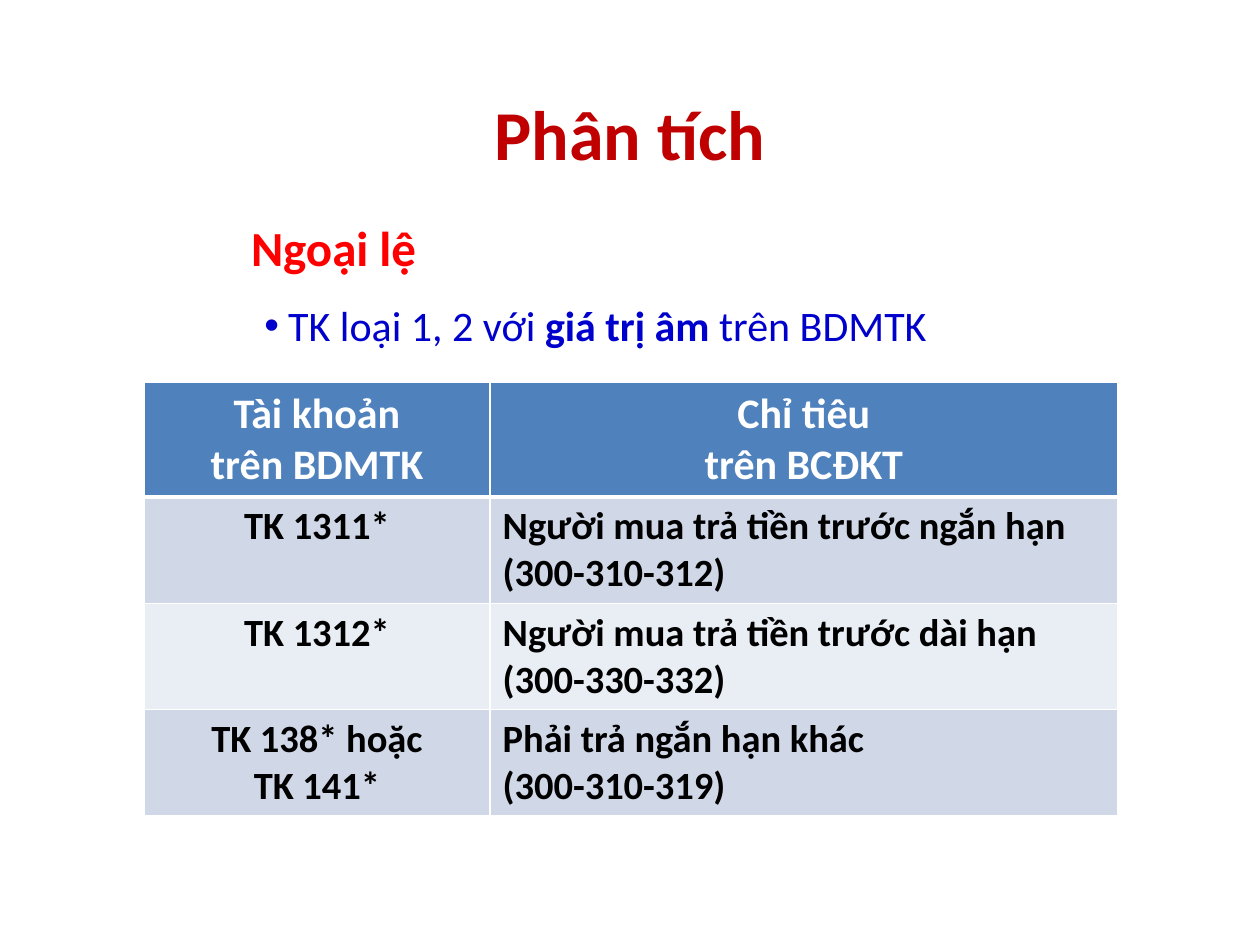
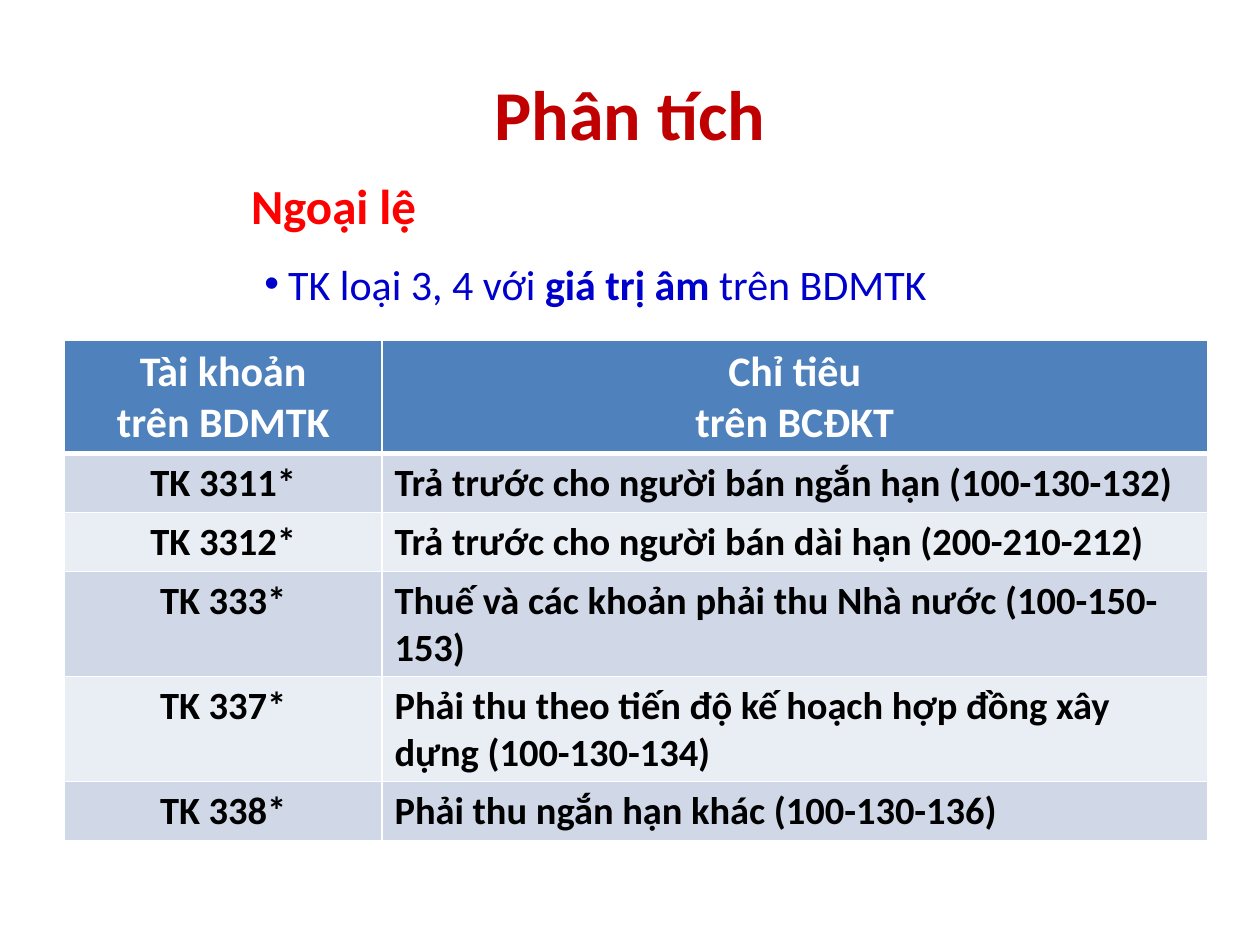
from dataclasses import dataclass

from lxml.etree import SubElement
from pptx import Presentation
from pptx.dml.color import RGBColor
from pptx.enum.shapes import MSO_SHAPE as SHAPE
from pptx.enum.text import MSO_ANCHOR as ANCHOR, MSO_AUTO_SIZE as AUTO, PP_ALIGN as ALIGN
from pptx.oxml.ns import qn
from pptx.util import Cm, Pt


@dataclass(frozen=True)
class Theme:
    font: str = "Calibri"
    title: str = "C00000"
    heading: str = "FF0000"
    note: str = "0000CC"
    header_fill: str = "4F81BD"
    band_fills: tuple = ("D0D8E8", "E9EDF4")
    white: str = "FFFFFF"
    black: str = "000000"
    title_size: int = 40
    heading_size: int = 28
    note_size: int = 24
    header_size: int = 24
    body_size: int = 22
    rule: float = 1
    header_rule: float = 3


THEME = Theme()
TITLE = "Phân tích"
HEADING = "Ngoại lệ"
HEADER = ("Tài khoản\ntrên BDMTK", "Chỉ tiêu\ntrên BCĐKT")
ROW_HEIGHT = 1.05

SLIDES = [
    {
        "title_top": 1.52, "heading_top": 4.34, "note_top": 5.92,
        "accounts": "1, 2",
        "table_box": (2.9, 7.7, 19.63, 8.64), "first_col": 6.98,
        "rows": [
            ("TK 1311*", "Người mua trả tiền trước ngắn hạn (300-310-312)"),
            ("TK 1312*", "Người mua trả tiền trước dài hạn (300-330-332)"),
            ("TK 138* hoặc\nTK 141*", "Phải trả ngắn hạn khác\n(300-310-319)"),
        ],
    },
    {
        "title_top": 1.12, "heading_top": 3.5, "note_top": 5.08,
        "accounts": "3, 4",
        "table_box": (1.3, 6.86, 23.04, 10.08), "first_col": 6.4,
        "rows": [
            ("TK 3311*", "Trả trước cho người bán ngắn hạn (100-130-132)"),
            ("TK 3312*", "Trả trước cho người bán dài hạn (200-210-212)"),
            ("TK 333*", "Thuế và các khoản phải thu Nhà nước (100-150-153)"),
            ("TK 337*", "Phải thu theo tiến độ kế hoạch hợp đồng xây dựng (100-130-134)"),
            ("TK 338*", "Phải thu ngắn hạn khác (100-130-136)"),
        ],
    },
]


def set_attrs(obj, **values):
    for name, value in values.items():
        setattr(obj, name, value)


def style_font(font, size, color, bold=True):
    set_attrs(font, name=THEME.font, size=Pt(size), bold=bold)
    font.color.rgb = RGBColor.from_string(color)


def add_title(slide, box):
    tf = slide.shapes.add_textbox(*map(Cm, box)).text_frame
    margins = {f"margin_{side}": Cm(0.1) for side in ("left", "top", "right", "bottom")}
    set_attrs(tf, word_wrap=True, vertical_anchor=ANCHOR.MIDDLE, **margins)
    p = tf.paragraphs[0]
    set_attrs(p, text=TITLE, alignment=ALIGN.CENTER, line_spacing=0.9)
    style_font(p.runs[0].font, THEME.title_size, THEME.title)


def add_heading(slide, box):
    sp = slide.shapes.add_shape(SHAPE.ROUNDED_RECTANGLE, *map(Cm, box))
    sp.shadow.inherit = False
    sp.fill.background()
    sp.line.fill.background()
    set_attrs(sp.text_frame, word_wrap=True, vertical_anchor=ANCHOR.MIDDLE)
    p = sp.text_frame.paragraphs[0]
    set_attrs(p, text=HEADING, alignment=ALIGN.LEFT)
    style_font(p.runs[0].font, THEME.heading_size, THEME.heading)


def add_note(slide, box, accounts):
    tf = slide.shapes.add_textbox(*map(Cm, box)).text_frame
    set_attrs(tf, word_wrap=True, auto_size=AUTO.SHAPE_TO_FIT_TEXT)
    p = tf.paragraphs[0]
    p.alignment = ALIGN.JUSTIFY
    pPr = p._p.get_or_add_pPr()
    hang = Cm(0.48)
    pPr.set("marL", str(hang))
    pPr.set("indent", str(-hang))
    SubElement(pPr, qn("a:buFont"), typeface="Arial")
    SubElement(pPr, qn("a:buChar"), char="•")
    parts = ((f"TK loại {accounts} với ", False), ("giá trị âm ", True), ("trên BDMTK", False))
    for text, bold in parts:
        r = p.add_run()
        r.text = text
        style_font(r.font, THEME.note_size, THEME.note, bold)


def add_borders(cell, top, bottom):
    """Draw white rules; call before the cell is filled, since lines come first in tcPr."""
    tcPr = cell._tc.get_or_add_tcPr()
    widths = {"L": THEME.rule, "R": THEME.rule, "T": top, "B": bottom}
    for side, width in widths.items():
        ln = SubElement(tcPr, qn(f"a:ln{side}"), w=str(Pt(width)))
        fill = SubElement(ln, qn("a:solidFill"))
        SubElement(fill, qn("a:srgbClr"), val=THEME.white)


def format_cell(cell, text, row, col):
    is_header = row == 0
    add_borders(cell,
                top=THEME.header_rule if row == 1 else THEME.rule,
                bottom=THEME.header_rule if is_header else THEME.rule)
    cell.fill.solid()
    fill = THEME.header_fill if is_header else THEME.band_fills[(row - 1) % 2]
    cell.fill.fore_color.rgb = RGBColor.from_string(fill)
    cell.text_frame.text = text
    size, color = ((THEME.header_size, THEME.white) if is_header
                   else (THEME.body_size, THEME.black))
    for p in cell.text_frame.paragraphs:
        p.alignment = ALIGN.CENTER if is_header or col == 0 else ALIGN.LEFT
        style_font(p.runs[0].font, size, color)


def add_account_table(slide, box, first_col, rows):
    left, top, width, height = box
    grid = [HEADER, *rows]
    frame = slide.shapes.add_table(len(grid), len(HEADER), *map(Cm, box))
    table = frame.table
    for column, column_width in zip(table.columns, (first_col, width - first_col)):
        column.width = Cm(column_width)
    for i, texts in enumerate(grid):
        table.rows[i].height = Cm(ROW_HEIGHT)
        for j, text in enumerate(texts):
            format_cell(table.cell(i, j), text, i, j)
    frame.height = Cm(height)


def add_exception_slide(prs, content):
    slide = prs.slides.add_slide(prs.slide_layouts[6])
    add_account_table(slide, content["table_box"], content["first_col"], content["rows"])
    add_note(slide, (5.08, content["note_top"], 18.08, 1.28), content["accounts"])
    add_heading(slide, (4.75, content["heading_top"], 8.53, 1.27))
    add_title(slide, (2.7, content["title_top"], 20, 2.5))


def main():
    prs = Presentation()
    set_attrs(prs, slide_width=Cm(25.4), slide_height=Cm(19.05))
    for content in SLIDES:
        add_exception_slide(prs, content)
    prs.save("out.pptx")


if __name__ == "__main__":
    main()
